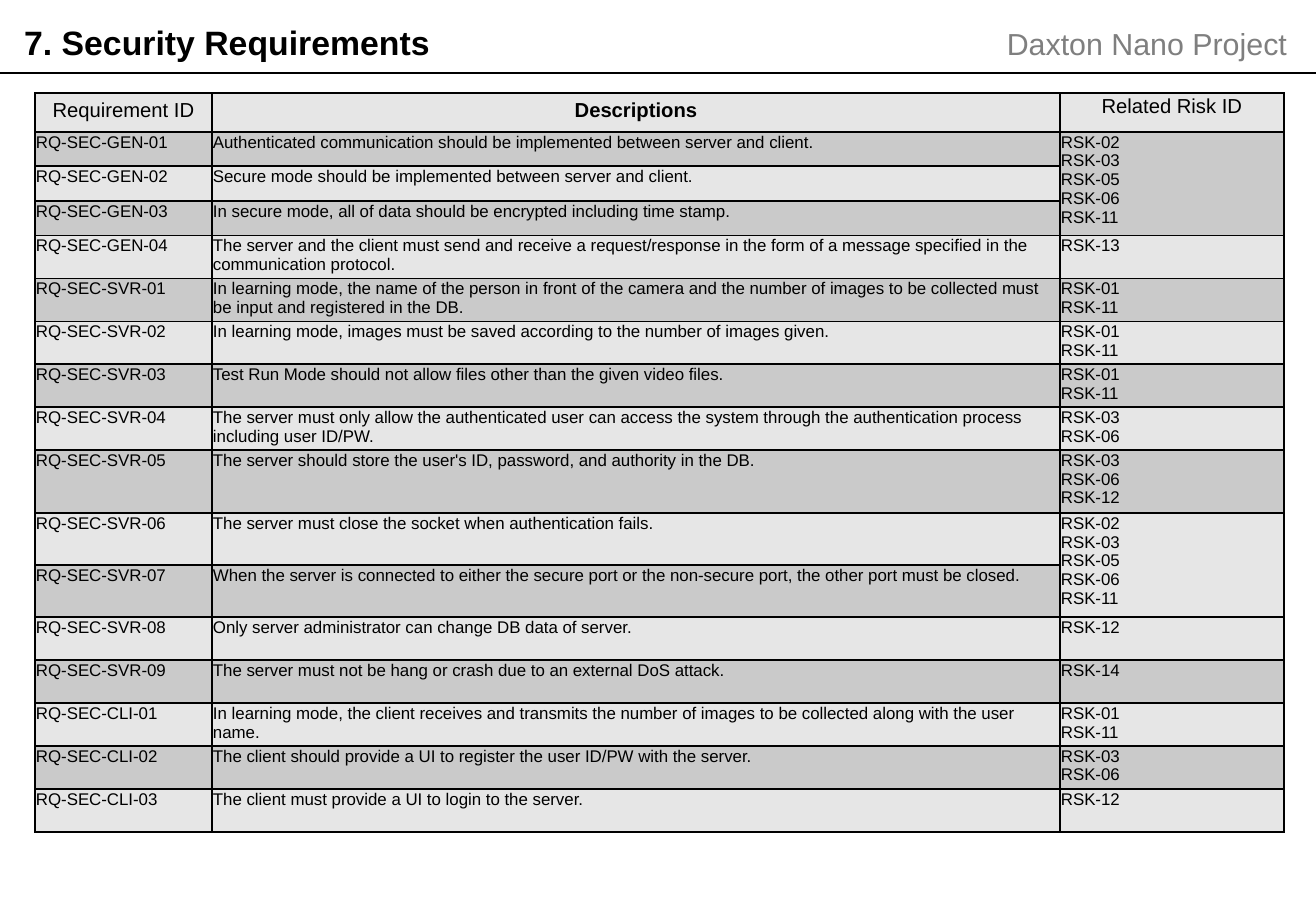
from lxml import etree
from pptx import Presentation
from pptx import util as u
from pptx.dml.color import RGBColor
from pptx.enum import shapes, text
from pptx.oxml.ns import qn

SCALE = 914400 / 121.5  # EMU in one px
FONT = "Arial"
COLORS = {"ink": "000000", "muted": "7F7F7F", "light": "E6E6E6", "dark": "CACACA"}

HEADINGS = ["Requirement ID", "Descriptions", "Related Risk ID"]
COLUMN_WIDTHS = [177, 848, 224]
HEADER_HEIGHT = 39

# Row height, requirement, description, risks (None continues the cell above)
REQUIREMENTS = [
    (34, "GEN-01", "Authenticated communication should be implemented between server and client.",
     [2, 3, 5, 6, 11]),
    (35, "GEN-02", "Secure mode should be implemented between server and client.", None),
    (34, "GEN-03", "In secure mode, all of data should be encrypted including time stamp.", None),
    (43, "GEN-04", "The server and the client must send and receive a request/response in the form "
     "of a message specified in the communication protocol.", [13]),
    (43, "SVR-01", "In learning mode, the name of the person in front of the camera and the number "
     "of images to be collected must be input and registered in the DB.", [1, 11]),
    (43, "SVR-02", "In learning mode, images must be saved according to the number of images given.",
     [1, 11]),
    (43, "SVR-03", "Test Run Mode should not allow files other than the given video files.", [1, 11]),
    (43, "SVR-04", "The server must only allow the authenticated user can access the system through "
     "the authentication process including user ID/PW.", [3, 6]),
    (63, "SVR-05", "The server should store the user's ID, password, and authority in the DB.",
     [3, 6, 12]),
    (52, "SVR-06", "The server must close the socket when authentication fails.", [2, 3, 5, 6, 11]),
    (52, "SVR-07", "When the server is connected to either the secure port or the non-secure port, "
     "the other port must be closed.", None),
    (43, "SVR-08", "Only server administrator can change DB data of server.", [12]),
    (43, "SVR-09", "The server must not be hang or crash due to an external DoS attack.", [14]),
    (43, "CLI-01", "In learning mode, the client receives and transmits the number of images to be "
     "collected along with the user name.", [1, 11]),
    (43, "CLI-02", "The client should provide a UI to register the user ID/PW with the server.", [3, 6]),
    (43, "CLI-03", "The client must provide a UI to login to the server.", [12]),
]


def px(length):
    return u.Emu(round(length * SCALE))


def color(name):
    return RGBColor.from_string(COLORS[name])


class SlideBuilder:
    def __init__(self, deck):
        self.page = deck.slides.add_slide(deck.slide_layouts[5])

    def fill_text(self, frame, lines, size, ink="ink", bold=False, align="LEFT", spacing=1.0):
        frame.word_wrap = True
        for index, line in enumerate(lines):
            para = frame.paragraphs[0] if index == 0 else frame.add_paragraph()
            para.text = line
            para.alignment = text.PP_ALIGN[align]
            para.line_spacing = spacing
            font = para.font
            font.name, font.size, font.bold = FONT, u.Pt(size), bold
            font.color.rgb = color(ink)

    def title(self, words, left, top, width, height):
        box = self.page.shapes.title
        box.left, box.top, box.width, box.height = map(px, (left, top, width, height))
        self.fill_text(box.text_frame, [words], 20, bold=True)
        box.text_frame.vertical_anchor = text.MSO_ANCHOR.TOP

    def label(self, words, left, top, width, height):
        box = self.page.shapes.add_textbox(*map(px, (left, top, width, height)))
        self.fill_text(box.text_frame, [words], 18, ink="muted", align="RIGHT")

    def rule(self, y, width):
        line = self.page.shapes.add_connector(
            shapes.MSO_CONNECTOR.STRAIGHT, 0, px(y), px(width), px(y))
        line.line.color.rgb = color("ink")
        line.line.width = u.Pt(0.75)
        etree.SubElement(line._element.spPr, qn("a:effectLst"))

    def table(self, left, top, widths, heights):
        grid = self.page.shapes.add_table(
            len(heights), len(widths), px(left), px(top), px(sum(widths)), px(sum(heights))).table
        for column, width in zip(grid.columns, widths):
            column.width = px(width)
        for index, (row, height) in enumerate(zip(grid.rows, heights)):
            row.height = px(height)
            for cell in row.cells:
                self.borders(cell)
                cell.fill.solid()
                cell.fill.fore_color.rgb = color("dark" if index % 2 else "light")
        return grid

    def borders(self, cell):
        properties = cell._tc.get_or_add_tcPr()
        for side in ("lnL", "lnR", "lnT", "lnB"):
            line = etree.SubElement(properties, qn("a:" + side), w=str(u.Pt(1)))
            fill = etree.SubElement(line, qn("a:solidFill"))
            etree.SubElement(fill, qn("a:srgbClr"), val=COLORS["ink"])

    def cell(self, cell, lines, size, margins, **style):
        (cell.margin_left, cell.margin_top,
         cell.margin_right, cell.margin_bottom) = map(px, margins)
        self.fill_text(cell.text_frame, lines, size, **style)


def main():
    deck = Presentation()
    deck.slide_width, deck.slide_height = px(1316), px(911)
    builder = SlideBuilder(deck)

    # Heading band
    builder.rule(73, 1316)
    builder.title("7. Security Requirements", 12, 16, 778, 53)
    builder.label("Daxton Nano Project", 926, 19, 373, 49)

    # Table header
    heights = [HEADER_HEIGHT] + [entry[0] for entry in REQUIREMENTS]
    grid = builder.table(35, 93, COLUMN_WIDTHS, heights)
    for column, heading in enumerate(HEADINGS):
        margins = (1, 1, 1, 1) if heading == "Related Risk ID" else (9, 5, 9, 5)
        builder.cell(grid.cell(0, column), [heading], 12, margins,
                     bold=heading == "Descriptions", align="CENTER", spacing=1.07)

    # Requirements, with shared risk cells merged downwards
    for row, (_, code, description, risks) in enumerate(REQUIREMENTS, start=1):
        builder.cell(grid.cell(row, 0), ["RQ-SEC-" + code], 10, (1, 1, 1, 0))
        builder.cell(grid.cell(row, 1), [description], 10, (1, 1, 1, 0))
        if risks is None:
            continue
        last = row
        while last < len(REQUIREMENTS) and REQUIREMENTS[last][3] is None:
            last += 1
        if last > row:
            grid.cell(row, 2).merge(grid.cell(last, 2))
        builder.cell(grid.cell(row, 2), [f"RSK-{risk:02}" for risk in risks], 10, (1, 1, 1, 1))

    deck.save("out.pptx")


if __name__ == "__main__":
    main()
